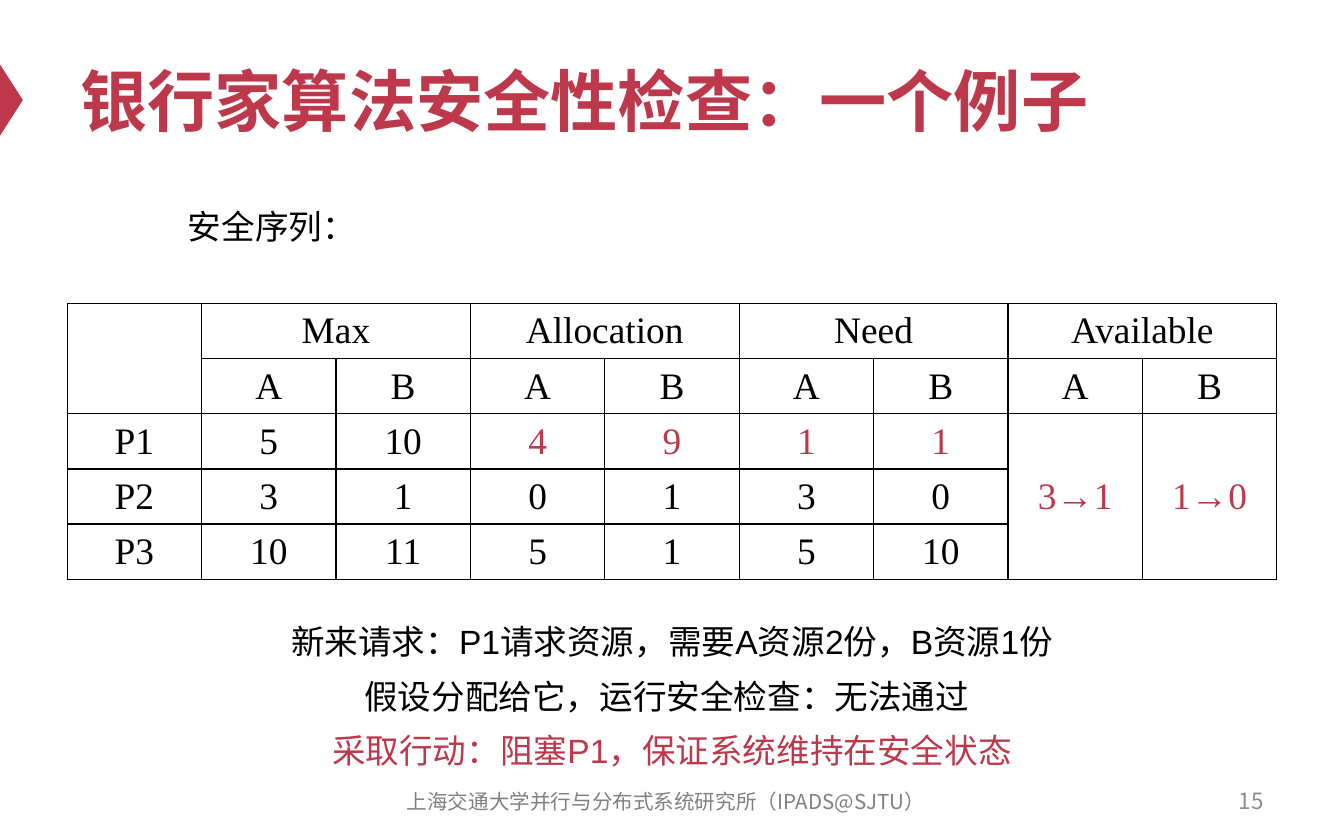
from dataclasses import dataclass
from typing import Optional

import pptx
import pptx.dml.color
import pptx.enum.shapes
import pptx.enum.text
import pptx.oxml
import pptx.oxml.ns
import pptx.util

ALIGN = pptx.enum.text.PP_ALIGN
ANCHOR = pptx.enum.text.MSO_ANCHOR


@dataclass(frozen=True)
class Theme:
    crimson: str = "BE384B"
    ink: str = "000000"
    footer_gray: str = "808080"
    number_gray: str = "8C8C8C"
    title_pt: int = 36
    table_pt: int = 20
    body_pt: int = 18
    footer_pt: int = 11
    number_pt: int = 12
    border_pt: float = 0.75
    sans: str = "Arial"
    cjk: str = "Noto Sans CJK SC"
    serif: str = "Times New Roman"


@dataclass(frozen=True)
class Area:
    """Place on the slide, in grid columns and rows."""
    col: float
    row: float
    cols: float
    rows: float


@dataclass(frozen=True)
class Label:
    text: str
    area: Area
    size: int
    color: str
    font: str
    align: ALIGN = ALIGN.LEFT
    bold: bool = False
    line_spacing: Optional[float] = None


THEME = Theme()
SLIDE_COLS, SLIDE_ROWS = 40, 25
UNIT = pptx.util.Inches(0.25)


def grid(count: float) -> int:
    return round(count * UNIT)


def place(area: Area) -> tuple[int, int, int, int]:
    return grid(area.col), grid(area.row), grid(area.cols), grid(area.rows)


def rgb(color: str) -> pptx.dml.color.RGBColor:
    return pptx.dml.color.RGBColor.from_string(color)


def add_run(paragraph, text: str, size: int, color: str, font: str,
            bold: bool = False, east_asian: Optional[str] = None) -> None:
    run = paragraph.add_run()
    run.text = text
    run.font.size = pptx.util.Pt(size)
    run.font.bold = bold
    run.font.name = font
    run.font.color.rgb = rgb(color)
    if east_asian:
        latin = run.font._element.find(pptx.oxml.ns.qn("a:latin"))
        latin.addnext(pptx.oxml.parse_xml(
            f'<a:ea {pptx.oxml.ns.nsdecls("a")} typeface="{east_asian}"/>'))


def add_label(slide, label: Label) -> None:
    frame = slide.shapes.add_textbox(*place(label.area)).text_frame
    frame.word_wrap = True
    if label.line_spacing:
        frame.auto_size = pptx.enum.text.MSO_AUTO_SIZE.SHAPE_TO_FIT_TEXT
    else:
        frame.vertical_anchor = ANCHOR.MIDDLE
    paragraph = frame.paragraphs[0]
    paragraph.alignment = label.align
    paragraph.line_spacing = label.line_spacing
    add_run(paragraph, label.text, label.size, label.color, label.font,
            label.bold, THEME.cjk)


def add_borders(cell) -> None:
    properties = cell._tc.get_or_add_tcPr()
    width = pptx.util.Pt(THEME.border_pt)
    for position, side in enumerate(("lnL", "lnR", "lnT", "lnB")):
        properties.insert(position, pptx.oxml.parse_xml(
            f'<a:{side} {pptx.oxml.ns.nsdecls("a")} w="{width}"><a:solidFill>'
            f'<a:srgbClr val="{THEME.ink}"/></a:solidFill></a:{side}>'))


def add_resource_table(slide, area: Area, rows: list[list[str]],
                       spans: list[tuple[int, int, int, int]],
                       changed: set[tuple[int, int]]) -> None:
    table = slide.shapes.add_table(len(rows), len(rows[0]), *place(area)).table
    table.first_row = table.horz_banding = False
    for r, row in enumerate(rows):
        for c, value in enumerate(row):
            cell = table.cell(r, c)
            cell.fill.background()
            add_borders(cell)
            cell.vertical_anchor = ANCHOR.MIDDLE
            cell.margin_top = cell.margin_bottom = pptx.util.Inches(0.03)
            paragraph = cell.text_frame.paragraphs[0]
            paragraph.alignment = ALIGN.CENTER
            if value:
                color = THEME.crimson if (r, c) in changed else THEME.ink
                add_run(paragraph, value, THEME.table_pt, color, THEME.serif)
    for top, left, bottom, right in spans:
        table.cell(top, left).merge(table.cell(bottom, right))


def add_title_marker(slide, area: Area) -> None:
    marker = slide.shapes.add_shape(
        pptx.enum.shapes.MSO_SHAPE.ISOSCELES_TRIANGLE, *place(area))
    marker.rotation = 90
    marker.shadow.inherit = False
    marker.fill.solid()
    marker.fill.fore_color.rgb = rgb(THEME.crimson)
    marker.line.fill.background()


def body(text: str, col: float, row: float, color: str = THEME.ink,
         align: ALIGN = ALIGN.CENTER) -> Label:
    return Label(text, Area(col, row, 30.56, 2), THEME.body_pt, color,
                 THEME.sans, align, line_spacing=1.5)


# Content
TITLE = Label("银行家算法安全性检查：一个例子", Area(2, 1, 36, 3.92),
              THEME.title_pt, THEME.crimson, THEME.sans, bold=True)
STATEMENTS = [
    body("新来请求：P1请求资源，需要A资源2份，B资源1份", 4.72, 17.68),
    body("安全序列：", 5.2, 5.32, align=ALIGN.LEFT),
    body("假设分配给它，运行安全检查：无法通过", 4.56, 19.32),
    body("采取行动：阻塞P1，保证系统维持在安全状态", 4.72, 20.92, THEME.crimson),
]
FOOTER = [
    Label("上海交通大学并行与分布式系统研究所（IPADS@SJTU）",
          Area(11.16, 23.2, 17.32, 1.32), THEME.footer_pt, THEME.footer_gray,
          THEME.cjk, ALIGN.CENTER),
    Label("15", Area(28.68, 23.16, 9.32, 1.32), THEME.number_pt,
          THEME.number_gray, THEME.cjk, ALIGN.RIGHT),
]
GROUPS = ["Max", "Allocation", "Need", "Available"]
RESOURCE_ROWS = [
    [""] + [name for group in GROUPS for name in (group, "")],
    [""] + ["A", "B"] * len(GROUPS),
    ["P1", "5", "10", "4", "9", "1", "1", "3→1", "1→0"],
    ["P2", "3", "1", "0", "1", "3", "0", "", ""],
    ["P3", "10", "11", "5", "1", "5", "10", "", ""],
]
GROUP_SPANS = [(0, 2 * i + 1, 0, 2 * i + 2) for i in range(len(GROUPS))]
AVAILABLE_SPANS = [(2, column, 4, column) for column in (7, 8)]
CHANGED_BY_REQUEST = {(2, column) for column in range(3, 9)}


def main() -> None:
    deck = pptx.Presentation()
    deck.slide_width, deck.slide_height = grid(SLIDE_COLS), grid(SLIDE_ROWS)
    slide = deck.slides.add_slide(deck.slide_layouts[6])

    # Heading
    add_title_marker(slide, Area(-0.72, 2.64, 2.12, 0.68))
    add_label(slide, TITLE)

    # Resource state after the trial allocation
    add_resource_table(slide, Area(2, 9.04, 36, 8.2), RESOURCE_ROWS,
                       [(0, 0, 1, 0)] + GROUP_SPANS + AVAILABLE_SPANS,
                       CHANGED_BY_REQUEST)

    # Statements and footer
    for label in STATEMENTS + FOOTER:
        add_label(slide, label)

    deck.save("out.pptx")


if __name__ == "__main__":
    main()
